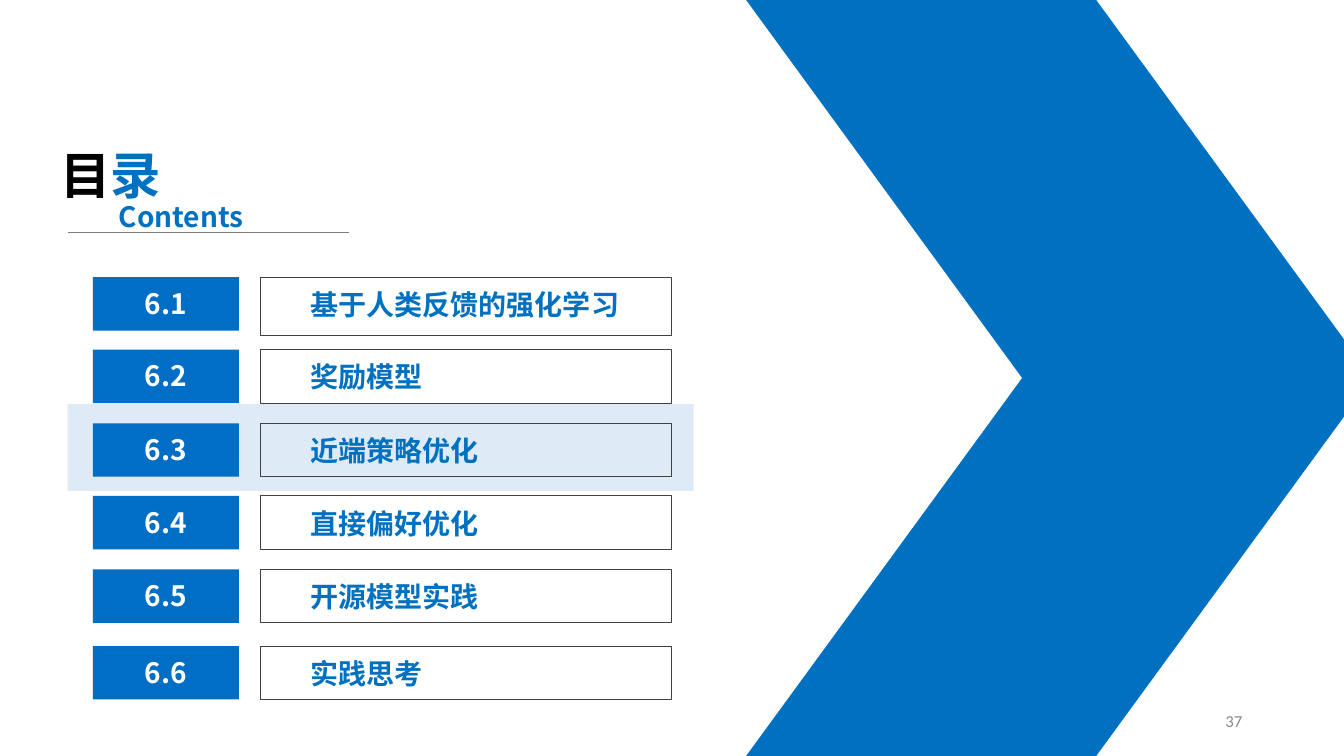
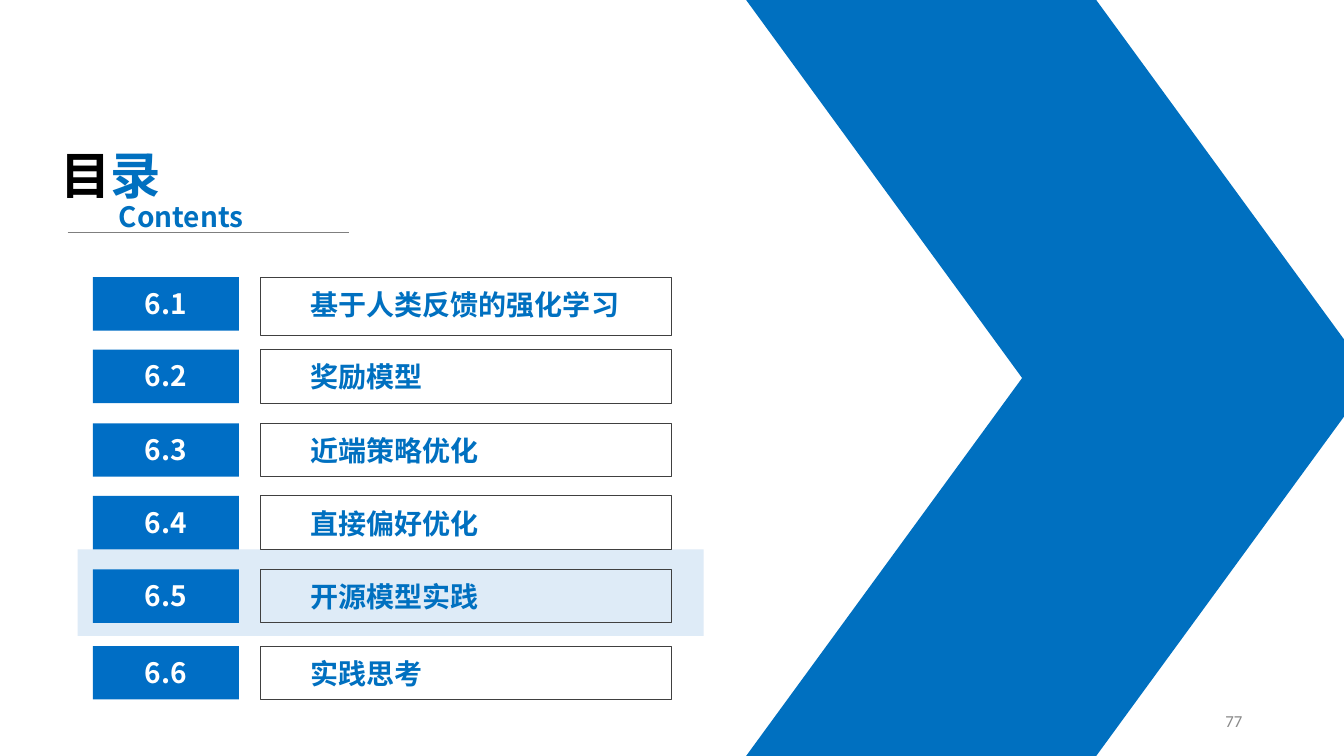
from pptx import Presentation
from pptx.dml.color import RGBColor
from pptx.enum.shapes import MSO_CONNECTOR, MSO_SHAPE
from pptx.enum.text import MSO_ANCHOR, MSO_AUTO_SIZE, PP_ALIGN
from pptx.oxml.ns import qn
from pptx.util import Pt
from lxml.etree import SubElement

PX = 9144  # EMU in one px, 100 px to the inch
WIDE, HIGH = 1333, 750

BLUE = RGBColor(0x00, 0x70, 0xC0)
TAG = RGBColor(0x00, 0x6E, 0xC5)
PALE = RGBColor(0xDE, 0xEB, 0xF7)
EDGE = RGBColor(0x40, 0x40, 0x40)
RULE = RGBColor(0x7F, 0x7F, 0x7F)
GREY = RGBColor(0x89, 0x89, 0x89)
BLACK = RGBColor(0x00, 0x00, 0x00)
WHITE = RGBColor(0xFF, 0xFF, 0xFF)

SANS = "Noto Sans CJK SC"
HEAD = {"name": SANS, "size": Pt(36), "bold": True}
ITEM = {"name": SANS, "size": Pt(20), "bold": True}
FOOT = {"name": "Calibri", "size": Pt(12), "bold": False}

TOPICS = [
    (275, 58, "基于人类反馈的强化学习"),
    (347, 53, "奖励模型"),
    (420, 53, "近端策略优化"),
    (492, 53, "直接偏好优化"),
    (565, 53, "开源模型实践"),
    (641, 53, "实践思考"),
]
# page number, left and top of the band behind the current topic
PAGES = [(37, 67, 401), (77, 77, 545)]


def emu(*lengths):
    return [length * PX for length in lengths]


def style(font, look, color):
    for key, value in look.items():
        setattr(font, key, value)
    font.color.rgb = color


def write(shape, runs, look, align=PP_ALIGN.LEFT, anchor=MSO_ANCHOR.TOP,
          inset=(10, 5, 10, 5), fit=MSO_AUTO_SIZE.NONE):
    """Fill one paragraph with (text, color) runs; inset is left, top, right, bottom."""
    frame = shape.text_frame
    sides = ("left", "top", "right", "bottom")
    form = {f"margin_{side}": gap for side, gap in zip(sides, emu(*inset))}
    form |= {"word_wrap": True, "vertical_anchor": anchor, "auto_size": fit}
    for key, value in form.items():
        setattr(frame, key, value)
    para = frame.paragraphs[0]
    para.alignment = align
    for text, color in runs:
        run = para.add_run()
        run.text = text
        style(run.font, look, color)
        SubElement(run.font._element, qn("a:ea"), typeface=look["name"])


def block(slide, kind, box, fill=None, line=None):
    shape = slide.shapes.add_shape(kind, *emu(*box))
    shape.shadow.inherit = False
    if fill is None:
        shape.fill.background()
    else:
        shape.fill.solid()
        shape.fill.fore_color.rgb = fill
    if line is None:
        shape.line.fill.background()
    else:
        shape.line.color.rgb = line
        shape.line.width = Pt(0.75)
    return shape


def arrow(slide, left, top, width, height):
    """Big chevron made of two mirrored parallelograms."""
    half = height // 2
    for y, flip in ((top + half, "0"), (top, "1")):
        wing = block(slide, MSO_SHAPE.PARALLELOGRAM, (left, y, width, half), BLUE)
        wing.adjustments[0] = 0.73
        wing._element.spPr.xfrm.set("flipV", flip)


def header(slide, left, top):
    title = slide.shapes.title
    title.left, title.top, title.width, title.height = emu(left, top, 157, 71)
    grow = MSO_AUTO_SIZE.SHAPE_TO_FIT_TEXT
    write(title, [("目", BLACK), ("录", BLUE)], HEAD, fit=grow)

    rule = slide.shapes.add_connector(
        MSO_CONNECTOR.STRAIGHT, *emu(left + 17, top + 93, left + 296, top + 93))
    rule.line.color.rgb = RULE
    rule.line.width = Pt(0.5)
    SubElement(rule._element.spPr, qn("a:effectLst"))

    label = slide.shapes.add_textbox(*emu(left + 58, top + 55, 157, 44))
    write(label, [("Contents", BLUE)], ITEM, fit=grow)


def topic(slide, left, top, height, number, name):
    label = block(slide, MSO_SHAPE.RECTANGLE,
                  (left + 166, top, 408, height), line=EDGE)
    write(label, [(name, BLUE)], ITEM, inset=(50, 10, 0, 0))
    tag = block(slide, MSO_SHAPE.RECTANGLE, (left, top, 145, 53), TAG)
    write(tag, [(number, WHITE)], ITEM, PP_ALIGN.CENTER, inset=(0, 9, 0, 0))


def footer(slide, left, top, page):
    label = slide.shapes.add_textbox(*emu(left, top, 300, 40))
    write(label, [(str(page), GREY)], FOOT, PP_ALIGN.RIGHT, MSO_ANCHOR.MIDDLE)


def contents(deck, page, left, top):
    slide = deck.slides.add_slide(deck.slide_layouts[5])
    block(slide, MSO_SHAPE.RECTANGLE, (left, top, 621, 86), PALE)
    arrow(slide, 740, 0, 621, HIGH)
    header(slide, 50, 138)
    for index, (y, height, name) in enumerate(TOPICS, 1):
        topic(slide, 92, y, height, f"6.{index}", name)
    footer(slide, 942, 695, page)


def main():
    deck = Presentation()
    deck.slide_width, deck.slide_height = emu(WIDE, HIGH)
    for page in PAGES:
        contents(deck, *page)
    deck.save("out.pptx")


if __name__ == "__main__":
    main()
